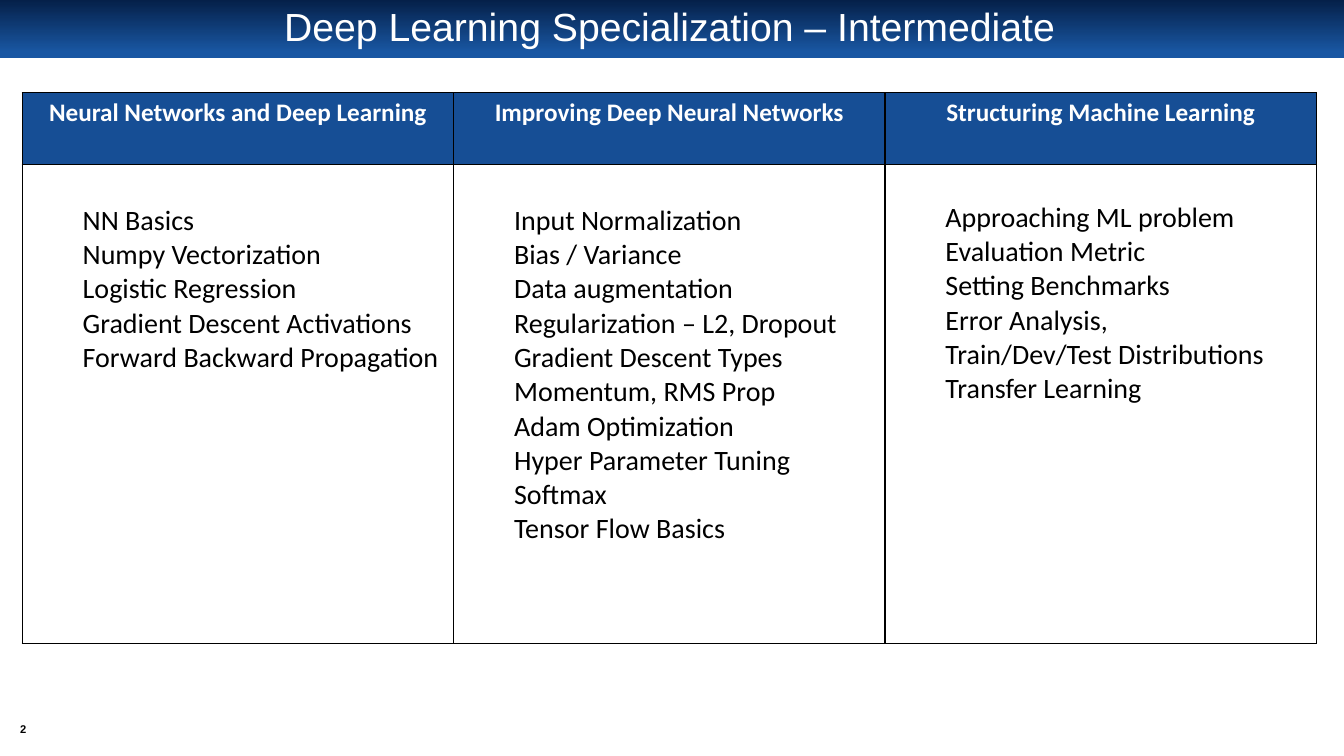
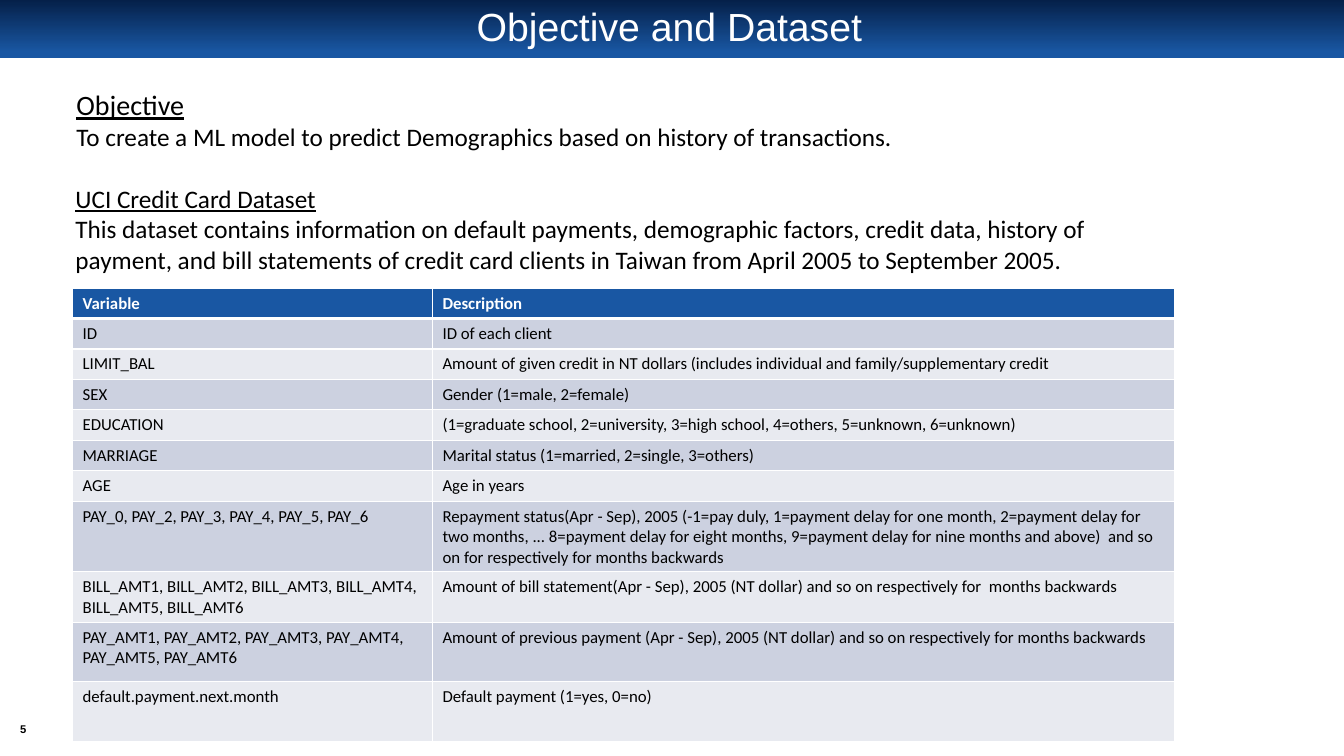
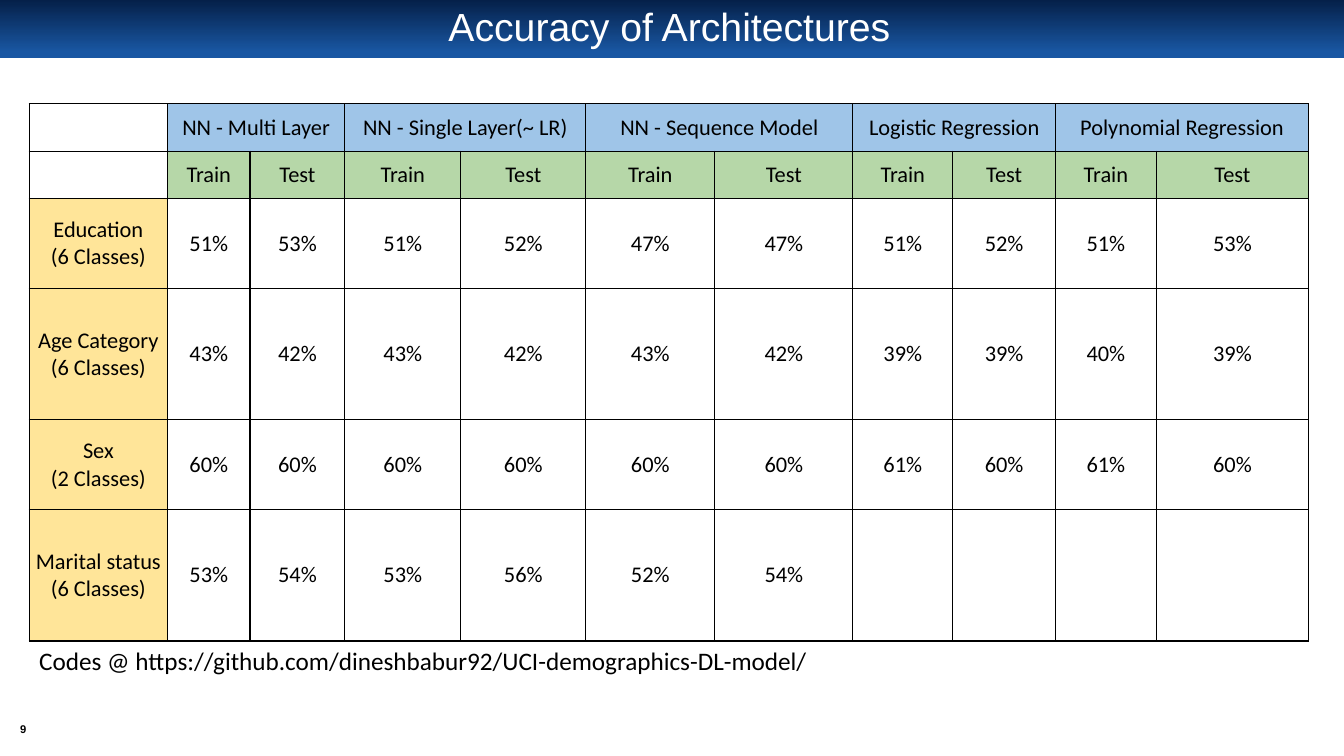
from lxml import etree
from pptx import Presentation
from pptx.dml.color import RGBColor
from pptx.enum.shapes import MSO_SHAPE
from pptx.enum.text import MSO_ANCHOR as Anchor, PP_ALIGN as Align
from pptx.oxml.ns import qn
from pptx.util import Inches, Pt

rgb = RGBColor.from_string
NAVY, BLUE, HEADER_BLUE = "052049", "1957A3", "164E95"
BLACK, WHITE = "000000", "FFFFFF"
BAND_ROWS = ["CCD1E0", "E8EAF0"]
MODEL_BLUE, SPLIT_GREEN, TARGET_YELLOW = "9FC5E8", "B6D7A8", "FFE599"

presentation = Presentation()
presentation.slide_width, presentation.slide_height = Inches(13.33), Inches(7.5)
# All places and sizes below are percentages of the slide's width and height.
ACROSS = presentation.slide_width / 100
DOWN = presentation.slide_height / 100


def write(frame, text, size, color=BLACK, font="Calibri", bold=False, align=Align.LEFT):
    frame.text = text
    frame.word_wrap = True
    for paragraph in frame.paragraphs:
        paragraph.alignment = align
        for run in paragraph.runs:
            run.font.size, run.font.name, run.font.bold = Pt(size), font, bold
            run.font.color.rgb = rgb(color)


def add_grid(slide, left, top, widths, heights, line, fills):
    """Add a ruled table; fills holds one list of cell colours for each row."""
    table = slide.shapes.add_table(
        len(heights), len(widths), int(left * ACROSS), int(top * DOWN),
        int(sum(widths) * ACROSS), int(sum(heights) * DOWN)).table
    table.first_row = table.horz_banding = False
    for column, width in zip(table.columns, widths):
        column.width = int(width * ACROSS)
    for row, height, colors in zip(table.rows, heights, fills):
        row.height = int(height * DOWN)
        for cell, color in zip(row.cells, colors):
            cell.fill.solid()
            cell.fill.fore_color.rgb = rgb(color)
            properties = cell._tc.get_or_add_tcPr()
            for index, side in enumerate(["lnL", "lnR", "lnT", "lnB"]):
                border = etree.Element(qn(f"a:{side}"), w=str(Pt(1)))
                solid = etree.SubElement(border, qn("a:solidFill"))
                etree.SubElement(solid, qn("a:srgbClr"), val=line)
                properties.insert(index, border)
    return table


# Title, page number and passages (box, heading, heading size, body) of each slide
PAGES = [
    ("Deep Learning Specialization – Intermediate", "2", []),
    ("Objective and Dataset", "5", [
        ((4.95, 10.93, 82.97, 14.4), "Objective", 20,
         "To create a ML model to predict Demographics based on history of transactions."),
        ((4.88, 23.6, 82.97, 17.47), "UCI Credit Card Dataset", 18,
         "This dataset contains information on default payments, demographic factors, "
         "credit data, history of payment, and bill statements of credit card clients "
         "in Taiwan from April 2005 to September 2005."),
    ]),
    ("Accuracy of Architectures", "9", [
        ((2.18, 84.67, 59.34, 9.47), None, 18,
         "Codes @ https://github.com/dineshbabur92/UCI-demographics-DL-model/"),
    ]),
]
TITLE_BOX = (4.95, 0.8, 89.7, 6)
NUMBER_BOX = (0.6, 95.2, 2.25, 2.53)

for title, number, passages in PAGES:
    slide = presentation.slides.add_slide(presentation.slide_layouts[6])
    band = slide.shapes.add_shape(
        MSO_SHAPE.RECTANGLE, 0, 0, presentation.slide_width, int(7.73 * DOWN))
    band.shadow.inherit = False
    band.line.fill.background()
    band.fill.gradient()
    band.fill.gradient_angle = 270
    for stop, color, position in zip(band.fill.gradient_stops, [NAVY, BLUE], [0, 0.9]):
        stop.color.rgb, stop.position = rgb(color), position

    boxes = [TITLE_BOX, NUMBER_BOX] + [passage[0] for passage in passages]
    frames = [
        slide.shapes.add_textbox(int(left * ACROSS), int(top * DOWN),
                                 int(width * ACROSS), int(height * DOWN)).text_frame
        for left, top, width, height in boxes]
    title_frame, number_frame, *passage_frames = frames
    write(title_frame, title, 28, WHITE, "Arial", align=Align.CENTER)
    title_frame.paragraphs[0].line_spacing = 0.9
    write(number_frame, number, 8, BLACK, "Arial", bold=True, align=Align.CENTER)
    number_frame.margin_left = number_frame.margin_right = 0
    number_frame.margin_top = number_frame.margin_bottom = 0
    title_frame.vertical_anchor = number_frame.vertical_anchor = Anchor.MIDDLE

    for frame, (_, heading, heading_size, body) in zip(passage_frames, passages):
        write(frame, f"{heading}\n{body}" if heading else body, 18)
        if heading:
            heading_font = frame.paragraphs[0].runs[0].font
            heading_font.size, heading_font.underline = Pt(heading_size), True

courses_slide, dataset_slide, accuracy_slide = presentation.slides

# Courses: heading, space above the topics in inches, topics
COURSES = [
    ("Neural Networks and Deep Learning", 0.39,
     ["NN Basics", "Numpy Vectorization", "Logistic Regression",
      "Gradient Descent Activations", "Forward Backward Propagation"]),
    ("Improving Deep Neural Networks", 0.39,
     ["Input Normalization", "Bias / Variance", "Data augmentation",
      "Regularization – L2, Dropout", "Gradient Descent Types", "Momentum, RMS Prop",
      "Adam Optimization", "Hyper Parameter Tuning", "Softmax", "Tensor Flow Basics"]),
    ("Structuring Machine Learning", 0.36,
     ["Approaching ML problem", "Evaluation Metric", "Setting Benchmarks",
      "Error Analysis,", "Train/Dev/Test Distributions Transfer Learning"]),
]
courses = add_grid(courses_slide, 1.65, 12.27, [32.1] * 3, [9.47, 63.33], BLACK,
                   [[HEADER_BLUE] * 3, [WHITE] * 3])
for index, (heading, space_above, topics) in enumerate(COURSES):
    heading_cell, topics_cell = courses.cell(0, index), courses.cell(1, index)
    write(heading_cell.text_frame, heading, 18, WHITE, bold=True, align=Align.CENTER)
    write(topics_cell.text_frame, "\n".join(topics), 20)
    topics_cell.margin_left, topics_cell.margin_top = Inches(0.6), Inches(space_above)

# Dataset variables
VARIABLES = [
    ("Variable", "Description"),
    ("ID", "ID of each client"),
    ("LIMIT_BAL", "Amount of given credit in NT dollars "
     "(includes individual and family/supplementary credit"),
    ("SEX", "Gender (1=male, 2=female)"),
    ("EDUCATION",
     "(1=graduate school, 2=university, 3=high school, 4=others, 5=unknown, 6=unknown)"),
    ("MARRIAGE", "Marital status (1=married, 2=single, 3=others)"),
    ("AGE", "Age in years"),
    ("PAY_0, PAY_2, PAY_3, PAY_4, PAY_5, PAY_6",
     "Repayment status(Apr - Sep), 2005 (-1=pay duly, 1=payment delay for one month, "
     "2=payment delay for two months, ... 8=payment delay for eight months, "
     "9=payment delay for nine months and above)  and so on for respectively "
     "for months backwards"),
    ("BILL_AMT1, BILL_AMT2, BILL_AMT3, BILL_AMT4, BILL_AMT5, BILL_AMT6",
     "Amount of bill statement(Apr - Sep), 2005 (NT dollar) "
     "and so on respectively for  months backwards"),
    ("PAY_AMT1, PAY_AMT2, PAY_AMT3, PAY_AMT4, PAY_AMT5, PAY_AMT6",
     "Amount of previous payment (Apr - Sep), 2005 (NT dollar) "
     "and so on respectively for months backwards"),
    ("default.payment.next.month", "Default payment (1=yes, 0=no)"),
]
variable_fills = [[BLUE] * 2] + [[BAND_ROWS[index % 2]] * 2
                                 for index in range(len(VARIABLES) - 1)]
variables = add_grid(dataset_slide, 5.4, 38.1, [26.78, 55.21],
                     [4.03] * 7 + [9.3, 6.67, 7.87, 7.87], WHITE, variable_fills)
for row_index, texts in enumerate(VARIABLES):
    is_header = row_index == 0
    for cell, text in zip(variables.rows[row_index].cells, texts):
        write(cell.text_frame, text, 12, WHITE if is_header else BLACK, bold=is_header)
        if is_header:
            cell._tc.tcPr.find(qn("a:lnB")).set("w", str(Pt(3)))

# Accuracy: a train and a test column for each model
MODELS = ["NN - Multi Layer", "NN - Single Layer(~ LR)", "NN - Sequence Model",
          "Logistic Regression", "Polynomial Regression"]
SCORES = [
    ("Education\n(6 Classes)", [51, 53, 51, 52, 47, 47, 51, 52, 51, 53]),
    ("Age Category\n(6 Classes)", [43, 42, 43, 42, 43, 42, 39, 39, 40, 39]),
    ("Sex\n(2 Classes)", [60, 60, 60, 60, 60, 60, 61, 60, 61, 60]),
    ("Marital status\n(6 Classes)", [53, 54, 53, 56, 52, 54]),
]
score_columns = 2 * len(MODELS)
accuracy_fills = [[WHITE] + [MODEL_BLUE] * score_columns,
                  [WHITE] + [SPLIT_GREEN] * score_columns]
accuracy_fills += [[TARGET_YELLOW] + [WHITE] * score_columns] * len(SCORES)
accuracy = add_grid(
    accuracy_slide, 2.18, 13.73,
    [10.28, 6.15, 7.05, 8.63, 9.3, 9.6, 10.28, 7.43, 7.65, 7.5, 11.33],
    [6.27, 6.27] + [11.87, 17.4] * 2, BLACK, accuracy_fills)

accuracy_texts = {}
for index, model in enumerate(MODELS):
    first = 1 + 2 * index
    accuracy.cell(0, first).merge(accuracy.cell(0, first + 1))
    accuracy_texts[0, first] = model
    accuracy_texts[1, first], accuracy_texts[1, first + 1] = "Train", "Test"
for row_index, (target, scores) in enumerate(SCORES, 2):
    accuracy_texts[row_index, 0] = target
    for column_index, score in enumerate(scores, 1):
        accuracy_texts[row_index, column_index] = f"{score}%"
for position, text in accuracy_texts.items():
    cell = accuracy.cell(*position)
    write(cell.text_frame, text, 16, align=Align.CENTER)
    cell.vertical_anchor = Anchor.MIDDLE
    cell.margin_left = cell.margin_right = Inches(0.03)
    cell.margin_top = cell.margin_bottom = Inches(0.02)

presentation.save("out.pptx")
